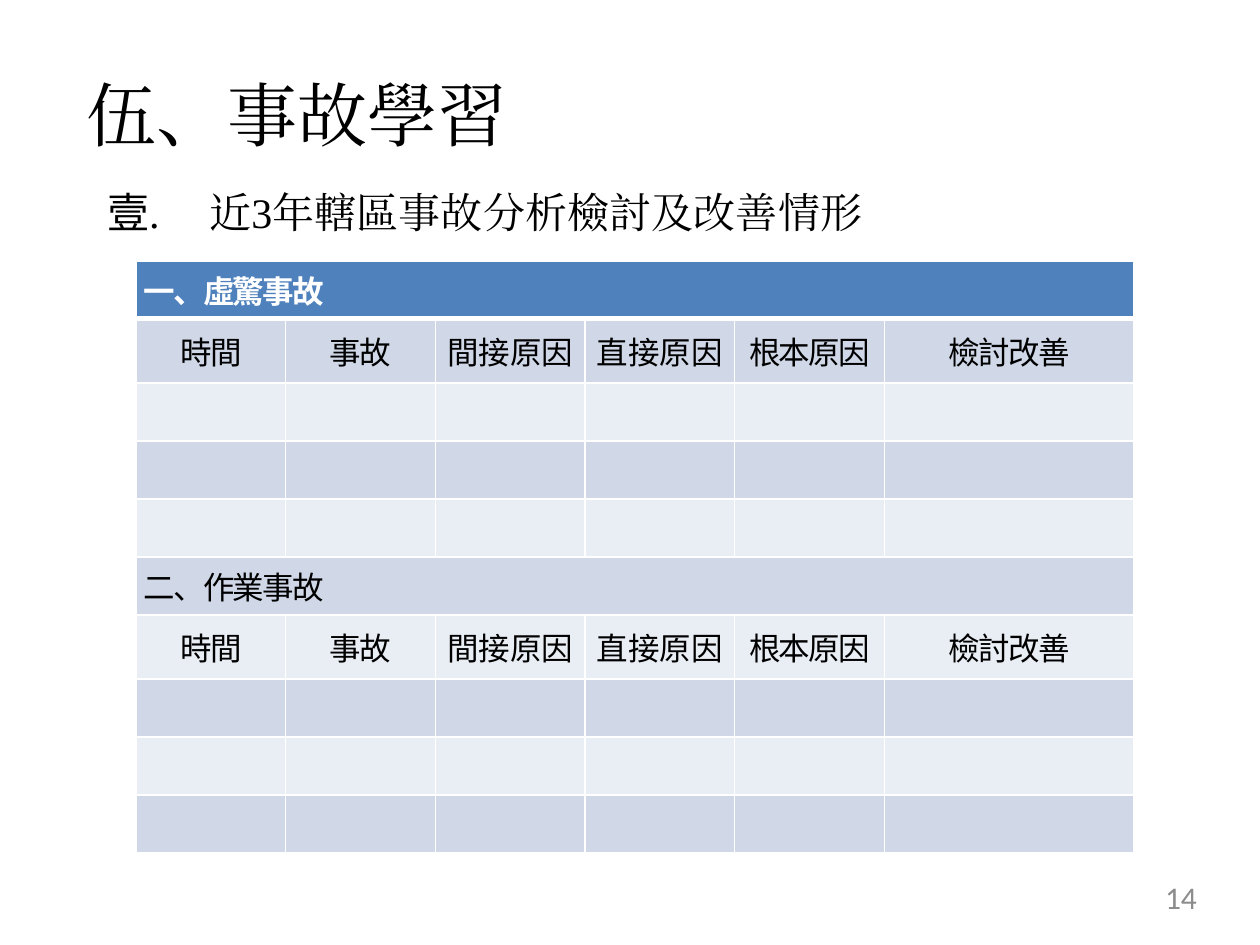
"""Build the accident learning slide with its two-part table of causes and improvements."""
import dataclasses

import pptx
import pptx.dml.color
import pptx.enum.text
import pptx.oxml
import pptx.oxml.ns
import pptx.util

Inches = pptx.util.Inches
Align = pptx.enum.text.PP_ALIGN
Anchor = pptx.enum.text.MSO_ANCHOR


@dataclasses.dataclass(frozen=True)
class Theme:
    serif: str = "Times New Roman"
    table_font: str = "Noto Sans CJK SC"
    number_font: str = "Calibri"
    ink: str = "000000"
    white: str = "FFFFFF"
    muted: str = "8C8C8C"
    header: str = "4F81BD"
    bands: tuple = ("E9EDF4", "D0D8E8")
    title_size: int = 40
    heading_size: int = 24
    small_size: int = 18


THEME = Theme()
TITLE = [("伍、事故學習", 0.1)]
HEADING = [("近", 0.1), ("3", -0.1), ("年轄區", 0.1), ("事", -0.2), ("故分析", 0.1),
           ("檢", -0.2), ("討", 0.1), ("及", -0.2), ("改善情形", 0.1)]
PAGE_NUMBER = [("14", 0)]
SECTIONS = ["一、虛驚事故", "二、作業事故"]
COLUMNS = [("時間", -1), ("事故", -1), ("間接原因", 0), ("直接原因", 0),
           ("根本原因", -1), ("檢討改善", -1)]
BLANK_ROWS = 3
TABLE_BOX = (1.08, 2.07, 7.92, 4.68)
COLUMN_SHARES = (3, 3, 3, 3, 3, 5)
ROW_HEIGHT, LABEL_HEIGHT = 0.46, 0.51


def add_spans(para, spans, font, size, color, bold=False):
    for text, spacing in spans:
        span = para.add_run()
        span.text = text
        span.font.name = font
        span.font.size = pptx.util.Pt(size)
        span.font.bold = bold
        span.font.color.rgb = pptx.dml.color.RGBColor.from_string(color)
        properties = span.font._element
        properties.set("spc", str(round(spacing * 100)))
        east_asian = pptx.oxml.parse_xml(
            f'<a:ea {pptx.oxml.ns.nsdecls("a")} typeface="{font}"/>')
        properties.find(pptx.oxml.ns.qn("a:latin")).addnext(east_asian)


def prepare_box(box, place, align):
    box.left, box.top, box.width, box.height = map(Inches, place)
    frame = box.text_frame
    frame.word_wrap = True
    frame.auto_size = pptx.enum.text.MSO_AUTO_SIZE.SHAPE_TO_FIT_TEXT
    frame.vertical_anchor = Anchor.TOP
    frame.margin_left = frame.margin_top = frame.margin_right = frame.margin_bottom = 0
    para = frame.paragraphs[0]
    para.alignment = align
    para.space_before = pptx.util.Pt(0)
    return para


def set_indent(para, margin, first_line):
    properties = para._p.get_or_add_pPr()
    properties.set("marL", str(Inches(margin)))
    properties.set("indent", str(Inches(first_line)))
    return properties


def style_cell(cell, fill, top, bottom):
    properties = cell._tc.get_or_add_tcPr()
    for side, width in (("L", 1), ("R", 1), ("T", top), ("B", bottom)):
        properties.append(pptx.oxml.parse_xml(
            f'<a:ln{side} {pptx.oxml.ns.nsdecls("a")} w="{pptx.util.Pt(width)}">'
            f'<a:solidFill><a:srgbClr val="{THEME.white}"/></a:solidFill></a:ln{side}>'))
    cell.fill.solid()
    cell.fill.fore_color.rgb = pptx.dml.color.RGBColor.from_string(fill)
    cell.vertical_anchor = Anchor.MIDDLE
    cell.margin_left = cell.margin_right = Inches(0.06)
    cell.margin_top = cell.margin_bottom = Inches(0.03)


def add_accident_table(page):
    section_rows = BLANK_ROWS + 2
    row_count = section_rows * len(SECTIONS)
    table = page.shapes.add_table(row_count, len(COLUMNS), *map(Inches, TABLE_BOX)).table
    for column, share in zip(table.columns, COLUMN_SHARES):
        column.width = Inches(TABLE_BOX[2] * share / sum(COLUMN_SHARES))
    for index, row in enumerate(table.rows):
        section, offset = divmod(index, section_rows)
        row.height = Inches(LABEL_HEIGHT if offset == 1 else ROW_HEIGHT)
        fill = THEME.bands[index % 2] if index else THEME.header
        for cell in row.cells:
            style_cell(cell, fill, 3 if index == 1 else 1, 3 if index == 0 else 1)
        if offset == 0:
            row.cells[0].merge(row.cells[len(COLUMNS) - 1])
            add_spans(row.cells[0].text_frame.paragraphs[0], [(SECTIONS[section], -1)],
                      THEME.table_font, THEME.small_size,
                      THEME.ink if index else THEME.white, index == 0)
        elif offset == 1:
            for cell, label in zip(row.cells, COLUMNS):
                para = cell.text_frame.paragraphs[0]
                para.alignment = Align.CENTER
                add_spans(para, [label], THEME.table_font, THEME.small_size, THEME.ink)


def main():
    deck = pptx.Presentation()
    deck.slide_width, deck.slide_height = Inches(10), Inches(7.5)
    page = deck.slides.add_slide(deck.slide_layouts[1])

    title = prepare_box(page.shapes.title, (0.67, 0.57, 8.66, 0.68), Align.LEFT)
    set_indent(title, 0.02, 0)
    add_spans(title, TITLE, THEME.serif, THEME.title_size, THEME.ink)

    heading = prepare_box(page.placeholders[1], (0.83, 1.48, 7.08, 0.4), Align.LEFT)
    properties = set_indent(heading, 0.83, -0.81)
    for bullet in ('buFont {} typeface="+mj-lt"', 'buAutoNum {} type="ea1ChtPeriod"'):
        properties.append(pptx.oxml.parse_xml(
            f'<a:{bullet.format(pptx.oxml.ns.nsdecls("a"))}/>'.replace(
                "+mj-lt", THEME.serif)))
    add_spans(heading, HEADING, THEME.serif, THEME.heading_size, THEME.ink)

    add_accident_table(page)

    number_place = (7.2, 6.97, 2.3, 0.38)
    number_box = page.shapes.add_textbox(*map(Inches, number_place))
    number = prepare_box(number_box, number_place, Align.RIGHT)
    add_spans(number, PAGE_NUMBER, THEME.number_font, THEME.small_size, THEME.muted)

    deck.save("out.pptx")


if __name__ == "__main__":
    main()
